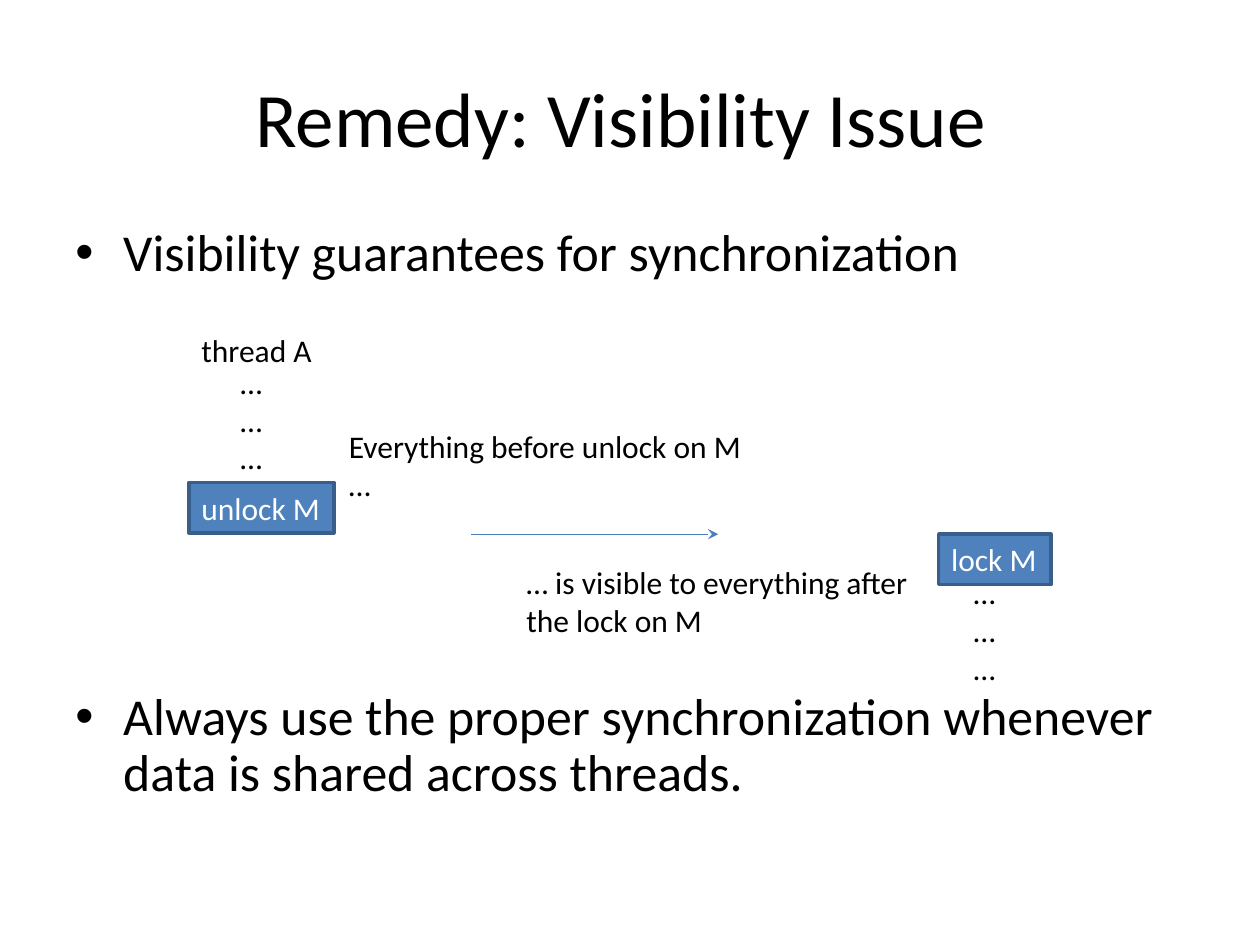
from pptx import Presentation
from pptx.dml.color import RGBColor
from pptx.enum.shapes import MSO_CONNECTOR as Connector, MSO_SHAPE as Shape
from pptx.enum.text import MSO_ANCHOR as Anchor, PP_ALIGN as Align
from pptx.oxml.ns import qn
from pptx.util import Inches, Pt
from lxml.etree import SubElement


def color(value):
    return RGBColor.from_string(value)


def write(box, lines, size=18, ink="000000", align=Align.LEFT, anchor=Anchor.TOP, wrap=False):
    frame = box.text_frame
    frame.word_wrap = wrap
    frame.vertical_anchor = anchor
    for index, line in enumerate(lines):
        para = frame.paragraphs[0] if index == 0 else frame.add_paragraph()
        para.alignment = align
        span = para.add_run()
        span.text = line
        span.font.name = "Calibri"
        span.font.size = Pt(size)
        span.font.color.rgb = color(ink)
    return frame.paragraphs


deck = Presentation()
deck.slide_width, deck.slide_height = Inches(10), Inches(7.5)
page = deck.slides.add_slide(deck.slide_layouts[6])

title = page.shapes.add_textbox(Inches(0.5), Inches(0.3), Inches(9), Inches(1.25))
write(title, ["Remedy: Visibility Issue "], size=44, align=Align.CENTER, anchor=Anchor.MIDDLE, wrap=True)

body = page.shapes.add_textbox(Inches(0.5), Inches(1.75), Inches(9), Inches(4.95))
bullets = write(body, [
    "Visibility guarantees for synchronization",
    "Always use the proper synchronization whenever data is shared across threads.",
], size=29.6, wrap=True)
for para in bullets:
    para.line_spacing = 0.9
    props = para._p.get_or_add_pPr()
    props.set("marL", str(Inches(0.38)))
    props.set("indent", str(-Inches(0.38)))
    SubElement(props, qn("a:buFont"), typeface="Arial")
    SubElement(props, qn("a:buChar"), char="•")
bullets[1].space_before = Pt(233)

for label, left, top, width in [("unlock M", 1.5, 3.83, 1.15), ("lock M", 7.45, 4.24, 0.89)]:
    box = page.shapes.add_shape(Shape.RECTANGLE, Inches(left), Inches(top), Inches(width), Inches(0.4))
    box.shadow.inherit = False
    box.fill.solid()
    box.fill.fore_color.rgb = color("4F81BD")
    box.line.color.rgb = color("395E89")
    box.line.width = Pt(2)
    write(box, [label], ink="FFFFFF")

steps = ["…"] * 3
for lines, left, top, width, height in [
    (["thread A"], 1.5, 2.58, 1.09, 0.4),
    (steps, 1.81, 2.83, 0.37, 1.01),
    (steps, 7.63, 4.5, 0.37, 1.01),
    (["Everything before unlock on M", "…"], 2.67, 3.34, 3.35, 0.71),
    (["… is visible to everything after", "the lock on M"], 4.08, 4.42, 3.33, 0.71),
]:
    box = page.shapes.add_textbox(Inches(left), Inches(top), Inches(width), Inches(height))
    write(box, lines)

arrow = page.shapes.add_connector(Connector.STRAIGHT, Inches(3.74), Inches(4.24), Inches(5.7), Inches(4.24))
arrow.line.color.rgb = color("4A7DBA")
arrow.line.width = Pt(0.75)
SubElement(arrow.line._get_or_add_ln(), qn("a:tailEnd"), type="stealth")
SubElement(arrow._element.spPr, qn("a:effectLst"))

deck.save("out.pptx")
